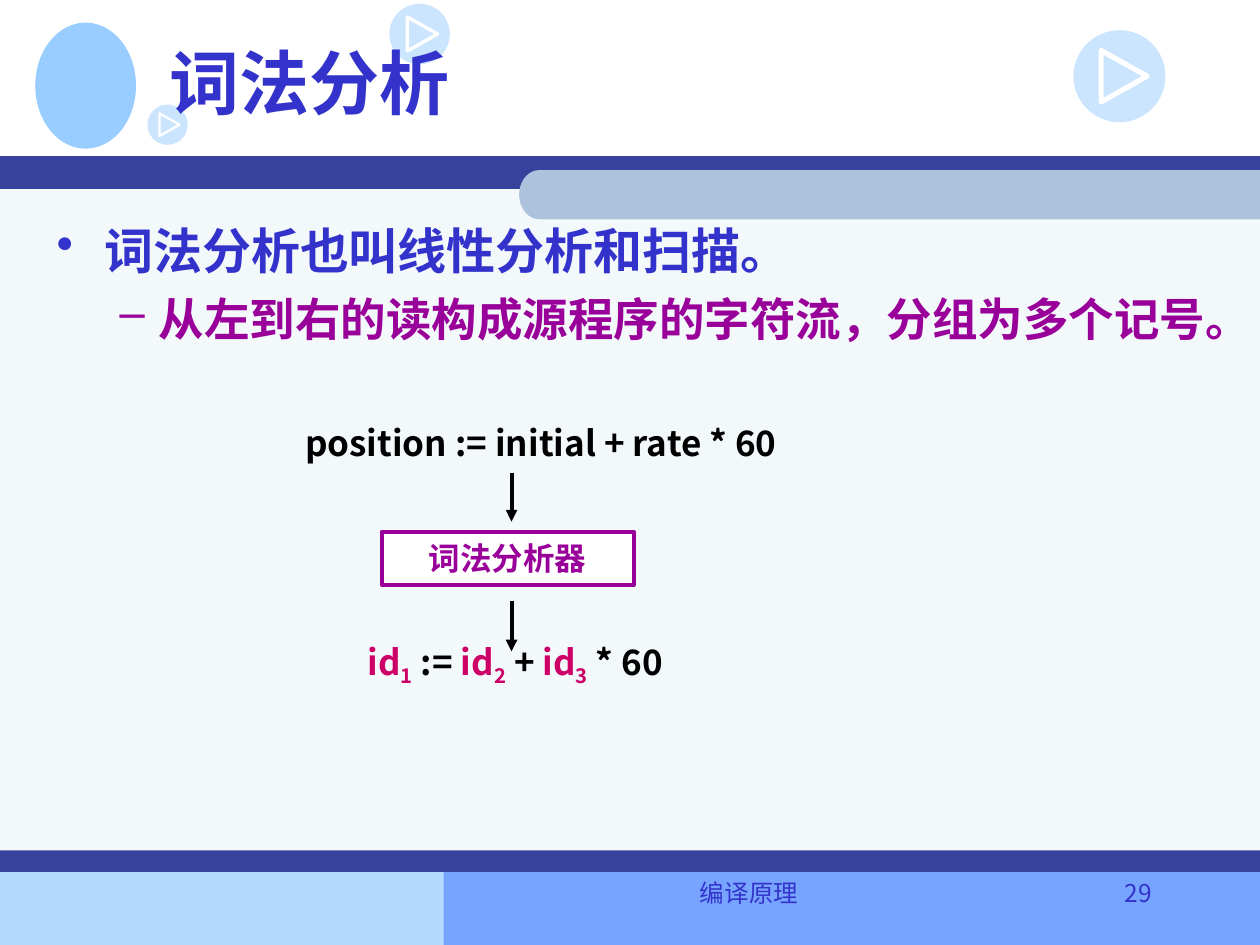
"""Build the lexical analysis slide of a compiler course."""
import math

import lxml.etree
import pptx
import pptx.dml.color
import pptx.enum.shapes
import pptx.enum.text
import pptx.oxml.ns
import pptx.util

COLORS = {
    "white": "FFFFFF", "black": "000000", "navy": "36429B", "blue": "3333CC",
    "purple": "990099", "pink": "CC0066", "panel": "F3F8FB", "tab": "ADC3DD",
    "footer_left": "B5DAFF", "footer_right": "77A4FF", "sky": "99CCFF",
}
RGB = {name: pptx.dml.color.RGBColor.from_string(value) for name, value in COLORS.items()}
ALIGN = pptx.enum.text.PP_ALIGN
ANCHOR = pptx.enum.text.MSO_ANCHOR
SHAPE = pptx.enum.shapes.MSO_SHAPE
qn = pptx.oxml.ns.qn

presentation = pptx.Presentation()
presentation.slide_width = pptx.util.Inches(10)
presentation.slide_height = pptx.util.Inches(7.5)
column = presentation.slide_width / 100
row = presentation.slide_height / 75
slide = presentation.slides.add_slide(presentation.slide_layouts[6])


def add_block(kind, left, top, width, height, fill):
    shape = slide.shapes.add_shape(
        kind, int(left * column), int(top * row), int(width * column), int(height * row))
    shape.shadow.inherit = False
    shape.fill.solid()
    shape.fill.fore_color.rgb = RGB[fill]
    shape.line.fill.background()
    return shape


def write(paragraph, runs, font_format):
    for text, color, baseline in runs:
        run = paragraph.add_run()
        run.text = text
        for name, value in font_format.items():
            setattr(run.font, name, value)
        run.font.color.rgb = RGB[color]
        if baseline:
            run.font._element.set("baseline", str(baseline * 1000))


for left, top, width, height, fill in [
    (0, 69.2, 42.5, 5.8, "footer_left"),
    (35.2, 69.1, 64.8, 5.9, "footer_right"),
    (0, 14, 100, 55.1, "panel"),
    (0, 12.4, 100, 2.6, "navy"),
    (0, 67.5, 100, 1.7, "navy"),
]:
    add_block(SHAPE.RECTANGLE, left, top, width, height, fill)

arc = [math.radians(90 + 10 * step) for step in range(19)]
tab_points = [(42.8 + 1.6 * math.cos(angle), 15.45 - 1.95 * math.sin(angle)) for angle in arc]
tab_points += [(100, 17.4), (100, 13.5)]
tab_points = [(x * column, y * row) for x, y in tab_points]
builder = slide.shapes.build_freeform(*tab_points[0])
builder.add_line_segments(tab_points[1:])
header_tab = builder.convert_to_shape()
header_tab.shadow.inherit = False
header_tab.fill.solid()
header_tab.fill.fore_color.rgb = RGB["tab"]
header_tab.line.fill.background()

add_block(SHAPE.OVAL, 2.8, 1.8, 8, 10, "sky")

for left, top, size in [(30.9, 0.3, 4.8), (85.2, 2.4, 7.3), (11.7, 8.3, 3.2)]:
    disc = add_block(SHAPE.OVAL, left, top, size, size, "sky")
    color = disc.fill._xPr.find(".//" + qn("a:srgbClr"))
    lxml.etree.SubElement(color, qn("a:alpha"), val="50000")
    corners = [((left + x * size) * column, (top + y * size) * row)
               for x, y in [(0.3, 0.22), (0.8, 0.5), (0.3, 0.78)]]
    builder = slide.shapes.build_freeform(*corners[0])
    builder.add_line_segments(corners[1:])
    triangle = builder.convert_to_shape()
    triangle.shadow.inherit = False
    triangle.fill.background()
    triangle.line.color.rgb = RGB["white"]
    triangle.line.width = pptx.util.Pt(0.4 * size)

analyzer = add_block(SHAPE.RECTANGLE, 30.3, 42.2, 20, 4.2, "white")
analyzer.line.color.rgb = RGB["purple"]
analyzer.line.width = pptx.util.Pt(2.25)

for top, bottom in [(37.5, 41.4), (47.7, 51.7)]:
    arrow = slide.shapes.add_connector(
        pptx.enum.shapes.MSO_CONNECTOR.STRAIGHT,
        int(40.6 * column), int(top * row), int(40.6 * column), int(bottom * row))
    arrow.line.color.rgb = RGB["black"]
    arrow.line.width = pptx.util.Pt(2.25)
    lxml.etree.SubElement(arrow.line._get_or_add_ln(), qn("a:tailEnd"), type="triangle")
    lxml.etree.SubElement(arrow._element.spPr, qn("a:effectLst"))

tokens = [
    ("id", "pink", 0), ("1", "pink", -25), (" := ", "black", 0),
    ("id", "pink", 0), ("2", "pink", -25), (" + ", "black", 0),
    ("id", "pink", 0), ("3", "pink", -25), (" * 60", "black", 0),
]
SERIF, SANS, FOOTER = "Times New Roman", "Noto Sans CJK SC", "Noto Sans CJK KR"
for place, runs, size, font_name, bold, align, anchor, wrap in [
    ((12.5, 0.6, 85, 11.7), [("词法分析", "blue", 0)],
     40, SERIF, True, ALIGN.LEFT, ANCHOR.MIDDLE, True),
    (None, [("词法分析器", "purple", 0)],
     18, SERIF, True, ALIGN.CENTER, ANCHOR.MIDDLE, False),
    ((19.3, 33.6, 47.3, 3.1), [("position := initial + rate * 60", "black", 0)],
     20, SANS, True, ALIGN.CENTER, ANCHOR.MIDDLE, False),
    ((20, 51.4, 41.8, 2.6), tokens,
     20, SANS, True, ALIGN.CENTER, ANCHOR.MIDDLE, False),
    ((34.2, 69.2, 50.5, 5), [("编译原理", "blue", 0)],
     14, FOOTER, False, ALIGN.CENTER, ANCHOR.TOP, True),
    ((84.6, 69.2, 7.8, 5), [("29", "blue", 0)],
     14, FOOTER, False, ALIGN.RIGHT, ANCHOR.TOP, True),
]:
    shape = analyzer
    if place:
        left, top, width, height = place
        shape = slide.shapes.add_textbox(
            int(left * column), int(top * row), int(width * column), int(height * row))
    for name, value in {"word_wrap": wrap, "vertical_anchor": anchor}.items():
        setattr(shape.text_frame, name, value)
    paragraph = shape.text_frame.paragraphs[0]
    paragraph.alignment = align
    write(paragraph, runs, {"name": font_name, "size": pptx.util.Pt(size), "bold": bold})

body = slide.shapes.add_textbox(
    int(3.5 * column), int(17 * row), int(94.5 * column), int(47.6 * row))
body.text_frame.word_wrap = True
for level, (text, color, size, bullet, margin, hanging, space) in enumerate([
    ("词法分析也叫线性分析和扫描。", "blue", 28, "•", 3.8, 3.8, 0),
    ("从左到右的读构成源程序的字符流，分组为多个记号。", "purple", 26, "–", 8.1, 3.1, 6.5),
]):
    paragraph = body.text_frame.add_paragraph() if level else body.text_frame.paragraphs[0]
    for name, value in {"level": level, "space_before": pptx.util.Pt(space)}.items():
        setattr(paragraph, name, value)
    properties = paragraph._p.get_or_add_pPr()
    properties.set("marL", str(int(margin * column)))
    properties.set("indent", str(int(-hanging * column)))
    bullet_color = lxml.etree.SubElement(properties, qn("a:buClr"))
    lxml.etree.SubElement(bullet_color, qn("a:srgbClr"), val=COLORS[color])
    lxml.etree.SubElement(properties, qn("a:buChar"), char=bullet)
    write(paragraph, [(text, color, 0)],
          {"name": SERIF, "size": pptx.util.Pt(size), "bold": True})

presentation.save("out.pptx")
